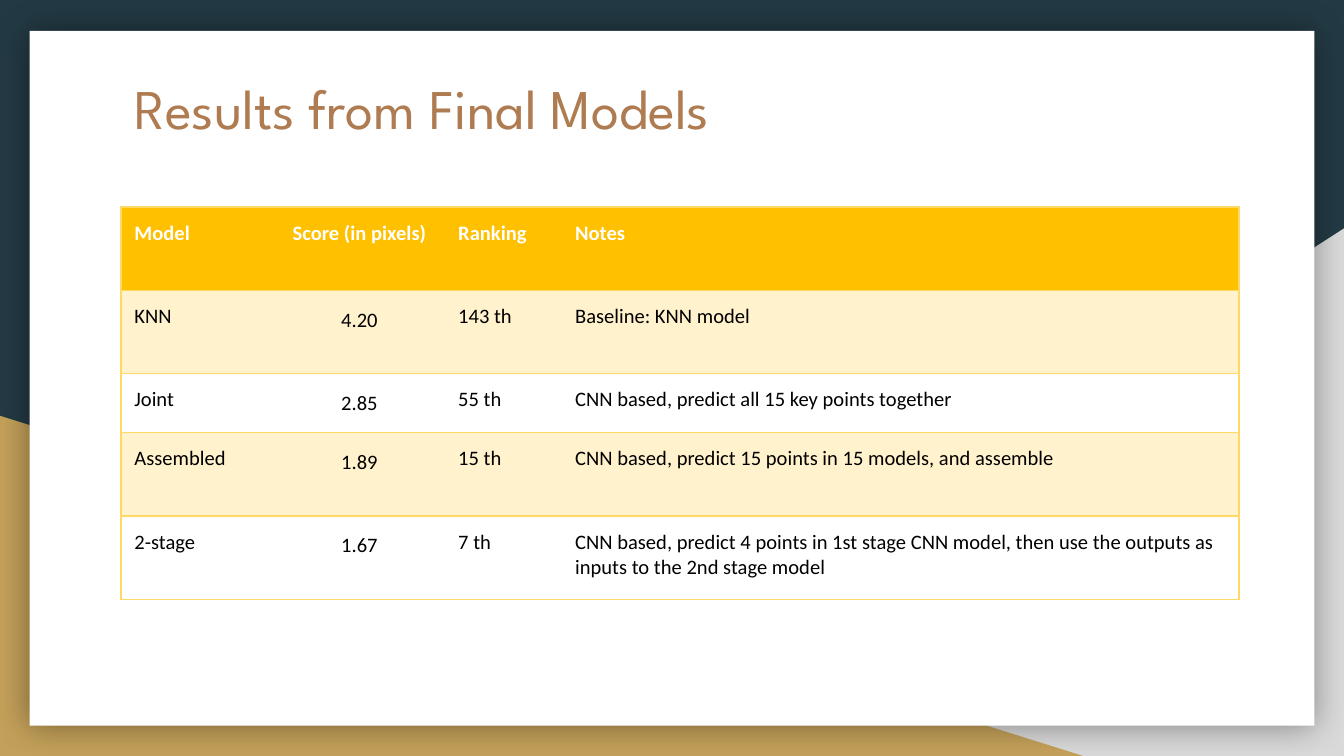
from dataclasses import dataclass

from lxml import etree
from pptx import Presentation
from pptx import util as u
from pptx.dml.color import RGBColor
from pptx.enum import shapes, text
from pptx.oxml import parse_xml
from pptx.oxml.ns import nsdecls, qn


@dataclass(frozen=True)
class Theme:
    """Colours, fonts and type sizes of the deck."""
    night: str = "233A44"
    gold: str = "C4A15A"
    grey: str = "D9D9D9"
    white: str = "FFFFFF"
    black: str = "000000"
    copper: str = "AF7B51"
    header: str = "FFC000"
    band: str = "FFF2CC"
    rule: str = "FFD966"
    title_font: str = "League Spartan"
    body_font: str = "Calibri"
    title_size: int = 30
    body_size: int = 11
    rule_width: float = 0.75
    inset: float = 0.1


THEME = Theme()
WIDTH = 10
HEIGHT = WIDTH * 9 / 16
COLUMNS = [1.14, 1.27, 0.87, 5.04]
ROWS = [0.62, 0.62, 0.44, 0.62, 0.62]
SCORE_COLUMN = 1
RESULTS = [
    ("Model", "Score (in pixels)", "Ranking", "Notes"),
    ("KNN", "4.20", "143 th", "Baseline: KNN model"),
    ("Joint", "2.85", "55 th", "CNN based, predict all 15 key points together"),
    ("Assembled", "1.89", "15 th", "CNN based, predict 15 points in 15 models, and assemble"),
    ("2-stage", "1.67", "7 th", "CNN based, predict 4 points in 1st stage CNN model, "
     "then use the outputs as inputs to the 2nd stage model"),
]


def inches(box):
    """Convert a box of inches to lengths."""
    return [u.Inches(value) for value in box]


def paint(fill, color):
    """Make a fill solid in one colour."""
    fill.solid()
    fill.fore_color.rgb = RGBColor.from_string(color)


def write(frame, words, *, font, size, color, bold=False,
          align=text.PP_ALIGN.LEFT, spacing=1.0):
    """Write one formatted paragraph into a text frame."""
    para = frame.paragraphs[0]
    para.alignment, para.line_spacing = align, spacing
    span = para.add_run()
    span.text = words
    span.font.name, span.font.size, span.font.bold = font, u.Pt(size), bold
    span.font.color.rgb = RGBColor.from_string(color)


def set_insets(target):
    """Give a text frame or cell the theme's margins."""
    for side in ("left", "top", "right", "bottom"):
        setattr(target, f"margin_{side}", u.Inches(THEME.inset))


def add_panel(page, kind, box, color):
    """Add a flat shape without outline."""
    panel = page.shapes.add_shape(kind, *inches(box))
    panel.shadow.inherit = False
    paint(panel.fill, color)
    panel.line.fill.background()
    return panel


def add_backdrop(page, width, height):
    """Place the coloured corners and the shadowed white card."""
    paint(page.background.fill, THEME.night)
    triangle = shapes.MSO_SHAPE.RIGHT_TRIANGLE
    left, top = 0.392 * width, 1.7
    corner = add_panel(page, triangle, (left, top, width - left, height - top), THEME.grey)
    corner.element.spPr.xfrm.set("flipH", "1")
    top = 0.55 * height
    add_panel(page, triangle, (0, top, 0.806 * width, height - top), THEME.gold)
    margin = 0.022 * width
    card = add_panel(page, shapes.MSO_SHAPE.RECTANGLE,
                     (margin, 0.23, width - 2 * margin, 5.17), THEME.white)
    effects = card.element.spPr.find(qn("a:effectLst"))
    effects.append(parse_xml(
        f'<a:outerShdw {nsdecls("a")} blurRad="{u.Pt(18)}" dist="0" dir="0" algn="ctr" '
        f'rotWithShape="0"><a:srgbClr val="{THEME.black}"><a:alpha val="40000"/>'
        '</a:srgbClr></a:outerShdw>'))


def add_title(page, box, words):
    """Format the title placeholder and bring it above the backdrop."""
    title = page.shapes.title
    title.left, title.top, title.width, title.height = inches(box)
    page.shapes.element.append(title.element)
    frame = title.text_frame
    frame.word_wrap, frame.auto_size = True, text.MSO_AUTO_SIZE.NONE
    frame.vertical_anchor = text.MSO_ANCHOR.BOTTOM
    set_insets(frame)
    write(frame, words, font=THEME.title_font, size=THEME.title_size, color=THEME.copper)


def set_borders(cell, sides):
    """Rule the given sides of a cell and leave the others clear."""
    properties = cell._tc.get_or_add_tcPr()
    for index, side in enumerate("LRTB"):
        line = etree.Element(qn(f"a:ln{side}"), w=str(u.Pt(THEME.rule_width)))
        if side in sides:
            fill = etree.SubElement(line, qn("a:solidFill"))
            etree.SubElement(fill, qn("a:srgbClr"), val=THEME.rule)
        else:
            etree.SubElement(line, qn("a:noFill"))
        properties.insert(index, line)


def format_cell(cell, words, row, column):
    """Fill, rule and write one cell by its place in the table."""
    header, score = row == 0, column == SCORE_COLUMN
    set_insets(cell)
    if header or row % 2:
        paint(cell.fill, THEME.header if header else THEME.band)
    else:
        cell.fill.background()
    edges = {0: "L", len(COLUMNS) - 1: "R"}
    set_borders(cell, "TB" + edges.get(column, ""))
    write(cell.text_frame, words, font=THEME.body_font, size=THEME.body_size,
          color=THEME.white if header else THEME.black, bold=header,
          align=text.PP_ALIGN.CENTER if score else text.PP_ALIGN.LEFT,
          spacing=1.15 if score and not header else 1.0)


def add_results(page, left, top):
    """Place the table of model results."""
    box = inches((left, top, sum(COLUMNS), sum(ROWS)))
    table = page.shapes.add_table(len(ROWS), len(COLUMNS), *box).table
    table.horz_banding = False
    for column, width in zip(table.columns, COLUMNS):
        column.width = u.Inches(width)
    for row, height in zip(table.rows, ROWS):
        row.height = u.Inches(height)
    for row, values in enumerate(RESULTS):
        for column, words in enumerate(values):
            format_cell(table.cell(row, column), words, row, column)


def main():
    """Build and save the deck."""
    deck = Presentation()
    deck.slide_width, deck.slide_height = inches((WIDTH, HEIGHT))
    page = deck.slides.add_slide(deck.slide_layouts[5])
    add_backdrop(page, WIDTH, HEIGHT)
    left = 0.09 * WIDTH
    add_title(page, (left, 0.44, 8.21, 0.71), "Results from Final Models")
    add_results(page, left, 1.54)
    deck.save("out.pptx")


if __name__ == "__main__":
    main()
